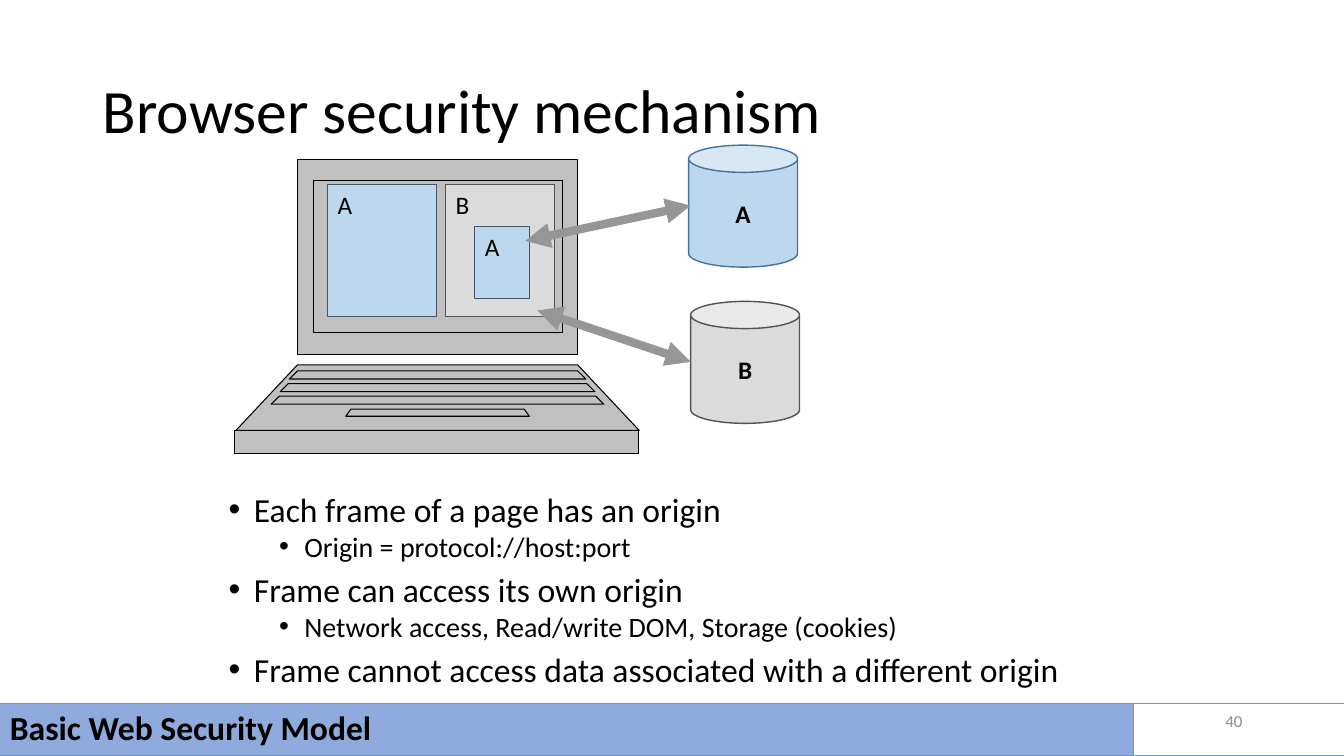
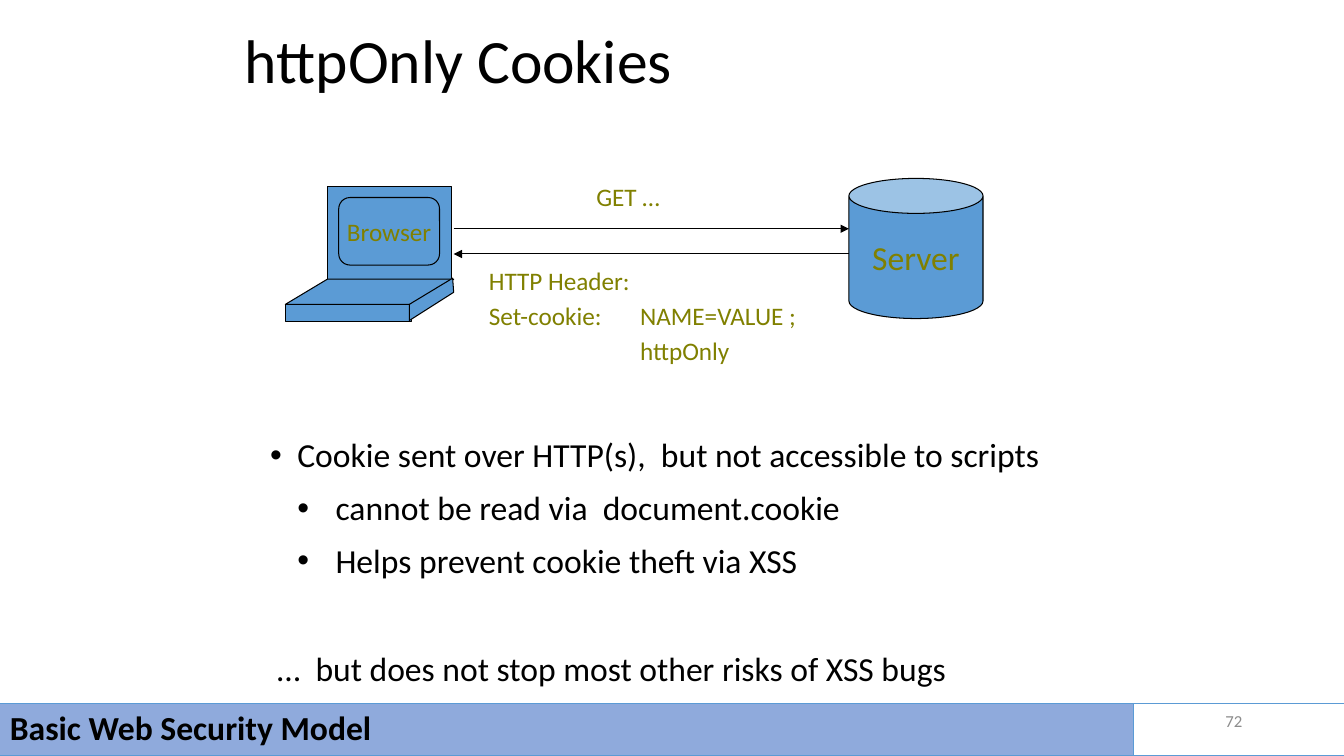
from dataclasses import dataclass

from lxml import etree
from pptx import Presentation
from pptx.dml.color import RGBColor
from pptx.enum.shapes import MSO_CONNECTOR, MSO_SHAPE
from pptx.enum.text import MSO_ANCHOR, MSO_AUTO_SIZE, PP_ALIGN
from pptx.oxml.ns import qn
from pptx.util import Inches, Pt

LEFT, CENTER, RIGHT = PP_ALIGN.LEFT, PP_ALIGN.CENTER, PP_ALIGN.RIGHT
TOP, MIDDLE = MSO_ANCHOR.TOP, MSO_ANCHOR.MIDDLE
RECTANGLE, ROUNDED, CAN = MSO_SHAPE.RECTANGLE, MSO_SHAPE.ROUNDED_RECTANGLE, MSO_SHAPE.CAN
PARALLELOGRAM = MSO_SHAPE.PARALLELOGRAM
STRAIGHT = MSO_CONNECTOR.STRAIGHT
NO_AUTOFIT = MSO_AUTO_SIZE.NONE
TITLE_ONLY = 5


@dataclass(frozen=True)
class Theme:
    font: str = "Calibri"
    ink: str = "000000"
    olive: str = "808000"
    muted: str = "8C8C8C"
    arrow: str = "969696"
    band: str = "8FAADC"
    blue: str = "5B9BD5"
    laptop: str = "C0C0C0"
    origin_a: str = "BDD7EE"
    origin_b: str = "DBDBDB"
    frame_a_edge: str = "44546A"
    server_a_edge: str = "43739E"
    origin_b_edge: str = "525252"
    title_size: int = 44
    text_size: int = 24
    sub_size: int = 20
    label_size: int = 18
    number_size: int = 12
    thin: float = 0.75


@dataclass(frozen=True)
class Line:
    """One paragraph; indents are in inches, the space before it in points."""
    text: str
    size: int
    before: float = 0
    left: float = 0
    hanging: float = 0
    bullet: bool = False
    tab: float = 0


THEME = Theme()


def rgb(value):
    return RGBColor.from_string(value)


def place(at):
    return [Inches(length) for length in at]


def style_runs(para, size, color=THEME.ink, bold=False):
    for run in para.runs:
        run.font.name = THEME.font
        run.font.size = Pt(size)
        run.font.bold = bold
        run.font.color.rgb = rgb(color)


def paint(shape, fill, edge, width=THEME.thin):
    shape.shadow.inherit = False
    if fill:
        shape.fill.solid()
        shape.fill.fore_color.rgb = rgb(fill)
    else:
        shape.fill.background()
    shape.line.color.rgb = rgb(edge)
    shape.line.width = Pt(width)


def write(box, text, size=THEME.label_size, color=THEME.ink, bold=False,
          align=CENTER, anchor=MIDDLE, wrap=True):
    frame = box.text_frame
    frame.text = text
    frame.word_wrap = wrap
    frame.vertical_anchor = anchor
    para = frame.paragraphs[0]
    para.alignment = align
    style_runs(para, size, color, bold)
    return para


def add_block(slide, preset, at, fill, edge=THEME.ink, width=THEME.thin, adjust=None):
    block = slide.shapes.add_shape(preset, *place(at))
    paint(block, fill, edge, width)
    if adjust is not None:
        block.adjustments[0] = adjust
    return block


def add_polygon(slide, points, fill):
    corners = [tuple(place(point)) for point in points]
    builder = slide.shapes.build_freeform(*corners[0])
    builder.add_line_segments(corners[1:], close=True)
    paint(builder.convert_to_shape(), fill, THEME.ink)


def add_trapezoid(slide, left, right, top, height, slant, fill):
    bottom = top + height
    add_polygon(slide, [(left, top), (left - slant, bottom),
                        (right + slant, bottom), (right, top)], fill)


def add_arrow(slide, start, end, color, width, both=False):
    arrow = slide.shapes.add_connector(STRAIGHT, *place(start + end))
    arrow.line.color.rgb = rgb(color)
    arrow.line.width = Pt(width)
    properties = arrow.line._get_or_add_ln()
    for tag in ("a:headEnd", "a:tailEnd") if both else ("a:tailEnd",):
        etree.SubElement(properties, qn(tag), type="triangle")
    etree.SubElement(properties.getparent(), qn("a:effectLst"))


def format_line(para, line):
    properties = para._p.get_or_add_pPr()
    properties.set("marL", str(Inches(line.left)))
    properties.set("indent", str(-Inches(line.hanging)))
    if line.bullet:
        etree.SubElement(properties, qn("a:buFont"), typeface="Arial")
        etree.SubElement(properties, qn("a:buChar"), char="•")
    if line.tab:
        tabs = etree.SubElement(properties, qn("a:tabLst"))
        etree.SubElement(tabs, qn("a:tab"), pos=str(Inches(line.tab)), algn="l")
    para.space_before = Pt(line.before)


def add_lines(slide, at, lines, color=THEME.ink, spacing=1.0):
    frame = slide.shapes.add_textbox(*place(at)).text_frame
    frame.word_wrap = True
    for index, line in enumerate(lines):
        para = frame.add_paragraph() if index else frame.paragraphs[0]
        para.text = line.text
        format_line(para, line)
        para.line_spacing = spacing
        style_runs(para, line.size, color)


def add_footer(slide, number):
    band = add_block(slide, RECTANGLE, (0, 6.98, 11.24, 0.52), THEME.band, THEME.blue)
    write(band, "Basic Web Security Model", THEME.text_size, bold=True,
          align=LEFT).line_spacing = 0.9
    add_block(slide, RECTANGLE, (11.24, 6.98, 2.1, 0.52), None, THEME.blue)
    box = slide.shapes.add_textbox(*place((9.42, 6.95, 3, 0.4)))
    write(box, str(number), THEME.number_size, THEME.muted, align=RIGHT)


def add_titled_slide(deck, title, at):
    slide = deck.slides.add_slide(deck.slide_layouts[TITLE_ONLY])
    box = slide.shapes.title
    box.left, box.top, box.width, box.height = place(at)
    write(box, title, THEME.title_size, align=LEFT).line_spacing = 0.9
    box.text_frame.auto_size = NO_AUTOFIT
    return slide


def draw_open_laptop(slide):
    gray = THEME.laptop
    for at in ((2.95, 1.58, 2.78, 1.94), (3.11, 1.79, 2.47, 1.51), (2.33, 4.27, 4, 0.23)):
        add_block(slide, RECTANGLE, at, gray)
    add_trapezoid(slide, 2.95, 5.73, 3.62, 0.65, 0.61, gray)
    for row in range(3):
        spread = 0.09 * row
        add_trapezoid(slide, 2.95 - spread, 5.73 + spread, 3.68 + 0.125 * row,
                      0.08, 0.08, gray)
    add_trapezoid(slide, 3.48, 5.2, 4.06, 0.07, 0.05, gray)


def build_mechanism_slide(deck):
    slide = add_titled_slide(deck, "Browser security mechanism", (0.92, 0.4, 11.5, 1.45))

    def bullet(text):
        return Line(text, THEME.text_size, 10, 0.25, 0.25, True)

    def sub_bullet(text):
        return Line(text, THEME.sub_size, 5, 0.75, 0.25, True)

    first = Line("Each frame of a page has an origin", THEME.text_size, 0, 0.25, 0.25, True)
    add_lines(slide, (2.17, 4.88, 9, 2.12), [
        first,
        sub_bullet("Origin = protocol://host:port"),
        bullet("Frame can access its own origin"),
        sub_bullet("Network access, Read/write DOM, Storage (cookies)"),
        bullet("Frame cannot access data associated with a different origin"),
    ], spacing=0.8)

    draw_open_laptop(slide)
    page_frames = (
        ("A", (3.25, 1.83, 1.08, 1.31), THEME.origin_a, THEME.frame_a_edge),
        ("B", (4.42, 1.83, 1.08, 1.31), THEME.origin_b, THEME.origin_b_edge),
        ("A", (4.71, 2.25, 0.54, 0.71), THEME.origin_a, THEME.frame_a_edge),
    )
    for name, at, fill, edge in page_frames:
        write(add_block(slide, RECTANGLE, at, fill, edge), name, align=LEFT, anchor=TOP)
    servers = (
        ("A", (6.83, 1.44, 1.08, 1.21), THEME.origin_a, THEME.server_a_edge),
        ("B", (6.85, 2.99, 1.08, 1.21), THEME.origin_b, THEME.origin_b_edge),
    )
    for name, at, fill, edge in servers:
        write(add_block(slide, CAN, at, fill, edge, 1), name, bold=True)
    for start, end in (((5.33, 3.08), (6.85, 3.59)), ((5.21, 2.39), (6.85, 2.04))):
        add_arrow(slide, start, end, THEME.arrow, 6, both=True)
    add_footer(slide, 40)


def draw_browser(slide):
    add_block(slide, RECTANGLE, (3.25, 1.85, 1.23, 0.92), THEME.blue)
    screen = add_block(slide, ROUNDED, (3.36, 1.96, 1, 0.67), THEME.blue, adjust=0.167)
    write(screen, "Browser", color=THEME.olive, wrap=False)
    add_block(slide, PARALLELOGRAM, (2.83, 2.77, 1.67, 0.25), THEME.blue, adjust=1.667)
    add_block(slide, RECTANGLE, (2.83, 3.02, 1.25, 0.17), THEME.blue)
    add_polygon(slide, [(4.06, 3.18), (4.5, 2.9), (4.49, 2.76), (4.06, 3.02)], THEME.blue)


def build_cookies_slide(deck):
    slide = add_titled_slide(deck, "httpOnly Cookies", (2.33, 0.17, 8.5, 0.92))
    draw_browser(slide)
    server = add_block(slide, CAN, (8.42, 1.77, 1.33, 1.39), THEME.blue, adjust=0.261)
    write(server, "Server", THEME.text_size, THEME.olive, wrap=False)

    add_arrow(slide, (4.5, 2.27), (8.42, 2.27), THEME.ink, THEME.thin)
    add_arrow(slide, (8.42, 2.52), (4.5, 2.52), THEME.ink, THEME.thin)
    request = slide.shapes.add_textbox(*place((5.81, 1.75, 0.84, 0.4)))
    write(request, "GET …", color=THEME.olive, anchor=TOP, wrap=False)

    size = THEME.label_size
    add_lines(slide, (4.75, 2.58, 5.25, 1.13), [
        Line("HTTP Header:", size),
        Line("Set-cookie:\tNAME=VALUE ;", size, 3.6, tab=1.5),
        Line("httpOnly", size, 3.6, left=1.5),
    ], THEME.olive)

    size = THEME.text_size
    add_lines(slide, (2.58, 4.26, 7.95, 2.77), [
        Line("Cookie sent over HTTP(s),  but not accessible to scripts", size, 0, 0.27, 0.27, True),
        Line("cannot be read via  document.cookie", size, 9, 0.65, 0.38, True),
        Line("Helps prevent cookie theft via XSS", size, 9, 0.65, 0.38, True),
        Line("…  but does not stop most other risks of XSS bugs", size, 48, 0.07),
    ])
    add_footer(slide, 72)


def main():
    deck = Presentation()
    deck.slide_width, deck.slide_height = Inches(13.33), Inches(7.5)
    build_mechanism_slide(deck)
    build_cookies_slide(deck)
    deck.save("out.pptx")


if __name__ == "__main__":
    main()
